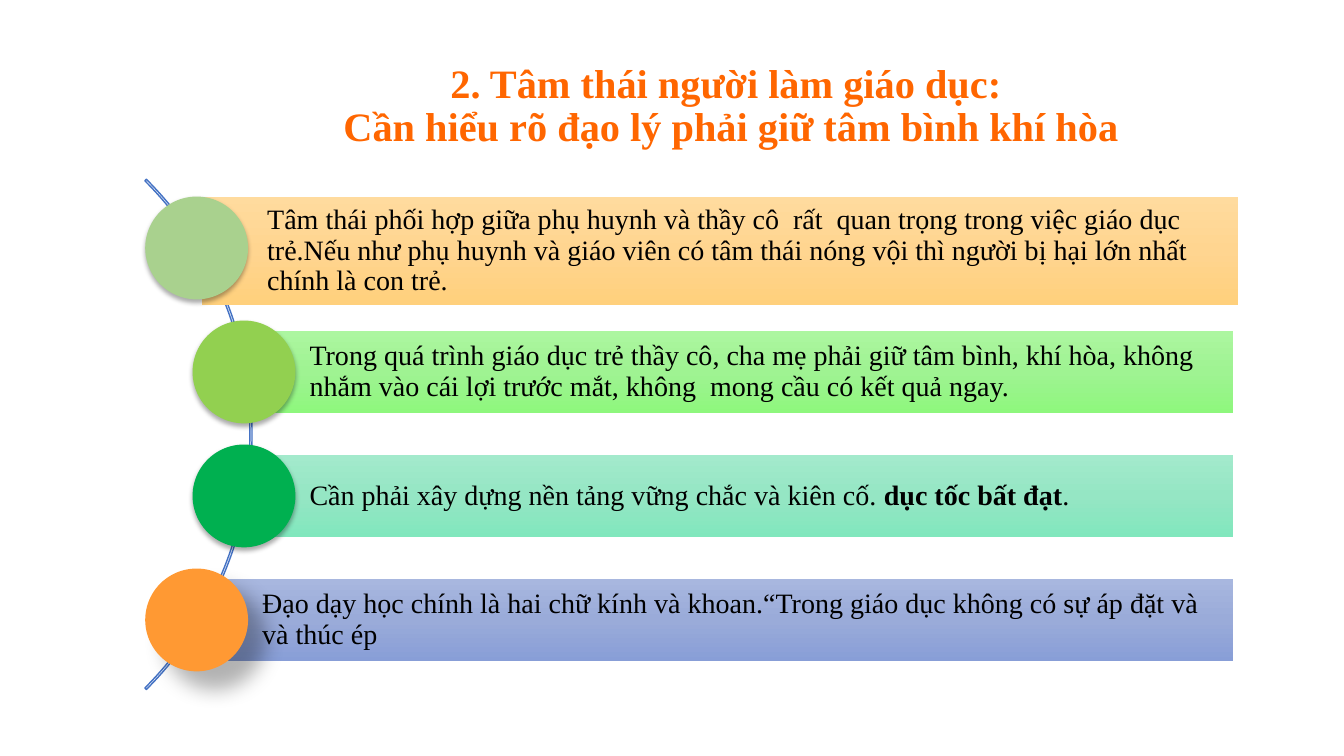
"""Build the slide on the educator's state of mind: four bars along an arc."""
from copy import deepcopy

from lxml import etree
from pptx import Presentation
from pptx.dml.color import RGBColor
from pptx.enum import shapes, text
from pptx.oxml import ns
from pptx.util import Inches, Pt

TITLE = "2. Tâm thái người làm giáo dục: \vCần hiểu rõ đạo lý phải giữ tâm bình khí hòa"
SOFT = {"opacity": 32, "blur": 3.5, "distance": 2.2, "angle": 90}
DEEP = {"opacity": 30, "blur": 15, "distance": 18, "angle": 45}
ROWS = [
    {"spans": [("Tâm thái phối hợp giữa phụ huynh và thầy cô  rất  quan trọng trong việc giáo dục "
                "trẻ.Nếu như phụ huynh và giáo viên có tâm thái nóng vội thì người bị hại lớn nhất "
                "chính là con trẻ.", False)],
     "bar": ("FFDB9E", "FFD590", "FFD07C"), "dot": "A9D18E", "shadow": SOFT,
     "dot_left": 1.44, "box": (2, 1.95, 10.28, 1.08)},
    {"spans": [("Trong quá trình giáo dục trẻ thầy cô, cha mẹ phải giữ tâm bình, khí hòa, không "
                "nhắm vào cái lợi trước mắt, không  mong cầu có kết quả ngay.", False)],
     "bar": ("ACF6A0", "9FF392", "8EF77D"), "dot": "92D050", "shadow": SOFT, "dot_left": 1.91},
    {"spans": [("Cần phải xây dựng nền tảng vững chắc và kiên cố. ", False),
               ("dục tốc bất đạt", True), (".", False)],
     "bar": ("A3EACC", "95E6C4", "81E7BD"), "dot": "00B050", "shadow": SOFT, "dot_left": 1.91},
    {"spans": [("Đạo dạy học chính là hai chữ kính và khoan.“Trong giáo dục không có sự áp đặt và "
                "và thúc ép", False)],
     "bar": ("A8B7DF", "9AABD9", "889ED7"), "dot": "FF9933", "shadow": DEEP, "dot_left": 1.44},
]
THEME = {"font": "Times New Roman", "title": "FF6600", "body": "000000", "arc": "4472C4",
         "shadow": "000000", "title_size": 28.8, "body_size": 20}
DOT, FIRST_TOP, PITCH = 1.02, 1.95, 1.23
BAR_RIGHT, BAR_HEIGHT = 12.23, 0.82


def assign(target, values):
    for name, value in values.items():
        setattr(target, name, value)


def style_span(span, size, color, bold):
    assign(span.font, {"name": THEME["font"], "size": Pt(size), "bold": bold})
    span.font.color.rgb = RGBColor.from_string(color)


def add_plain(page, kind, box):
    shape = page.shapes.add_shape(kind, *map(Inches, box))
    shape.shadow.inherit = False
    shape.line.fill.background()
    return shape


def fill_gradient(shape, colors):
    shape.fill.gradient()
    shape.fill.gradient_angle = 270
    first = shape._element.spPr.find(".//" + ns.qn("a:gs"))
    first.addnext(deepcopy(first))
    for index, (stop, color) in enumerate(zip(shape.fill.gradient_stops, colors)):
        stop.position = index / (len(colors) - 1)
        stop.color.rgb = RGBColor.from_string(color)


def cast_shadow(shape, opacity, blur, distance, angle):
    effects = shape._element.spPr.find(ns.qn("a:effectLst"))
    outer = etree.SubElement(effects, ns.qn("a:outerShdw"), {
        "blurRad": str(Pt(blur)), "dist": str(Pt(distance)), "dir": str(angle * 60000),
        "algn": "ctr", "rotWithShape": "0"})
    color = etree.SubElement(outer, ns.qn("a:srgbClr"), val=THEME["shadow"])
    etree.SubElement(color, ns.qn("a:alpha"), val=str(opacity * 1000))


def add_title(page):
    title = page.shapes.title
    assign(title, dict(zip(("left", "top", "width", "height"), map(Inches, (3.17, 0.56, 8.16, 1.45)))))
    frame = title.text_frame
    frame.text = TITLE
    assign(frame, {"vertical_anchor": text.MSO_ANCHOR.TOP, "word_wrap": True,
                   "auto_size": text.MSO_AUTO_SIZE.NONE, "margin_top": Inches(0.07)})
    para = frame.paragraphs[0]
    assign(para, {"alignment": text.PP_ALIGN.CENTER, "line_spacing": 0.9})
    for span in para.runs:
        style_span(span, THEME["title_size"], THEME["title"], True)


def add_arc(page):
    arc = add_plain(page, shapes.MSO_SHAPE.BLOCK_ARC, (-4.66, 0.73, 7.16, 7.16))
    for index, value in enumerate((189, 27, 0.003)):
        arc.adjustments[index] = value
    arc.fill.background()
    arc.line.color.rgb = RGBColor.from_string(THEME["arc"])
    arc.line.width = Pt(1)


def add_row(page, index, row):
    top = FIRST_TOP + index * PITCH
    left = row["dot_left"] + DOT / 2
    box = row.get("box", (left, top + (DOT - BAR_HEIGHT) / 2, BAR_RIGHT - left, BAR_HEIGHT))
    bar = add_plain(page, shapes.MSO_SHAPE.RECTANGLE, box)
    fill_gradient(bar, row["bar"])
    frame = bar.text_frame
    assign(frame, {"word_wrap": True, "vertical_anchor": text.MSO_ANCHOR.MIDDLE,
                   "margin_left": Inches(0.65), "margin_right": Inches(0.06),
                   "margin_top": Inches(0.06), "margin_bottom": Inches(0.06)})
    para = frame.paragraphs[0]
    assign(para, {"alignment": text.PP_ALIGN.LEFT, "line_spacing": 0.9})
    for words, bold in row["spans"]:
        span = para.add_run()
        span.text = words
        style_span(span, THEME["body_size"], THEME["body"], bold)
    dot = add_plain(page, shapes.MSO_SHAPE.OVAL, (row["dot_left"], top, DOT, DOT))
    dot.fill.solid()
    dot.fill.fore_color.rgb = RGBColor.from_string(row["dot"])
    cast_shadow(dot, **row["shadow"])


def main():
    deck = Presentation()
    assign(deck, {"slide_width": Inches(13.33), "slide_height": Inches(7.5)})
    page = deck.slides.add_slide(deck.slide_layouts[5])
    add_title(page)
    add_arc(page)
    for index, row in enumerate(ROWS):
        add_row(page, index, row)
    deck.save("out.pptx")


if __name__ == "__main__":
    main()
